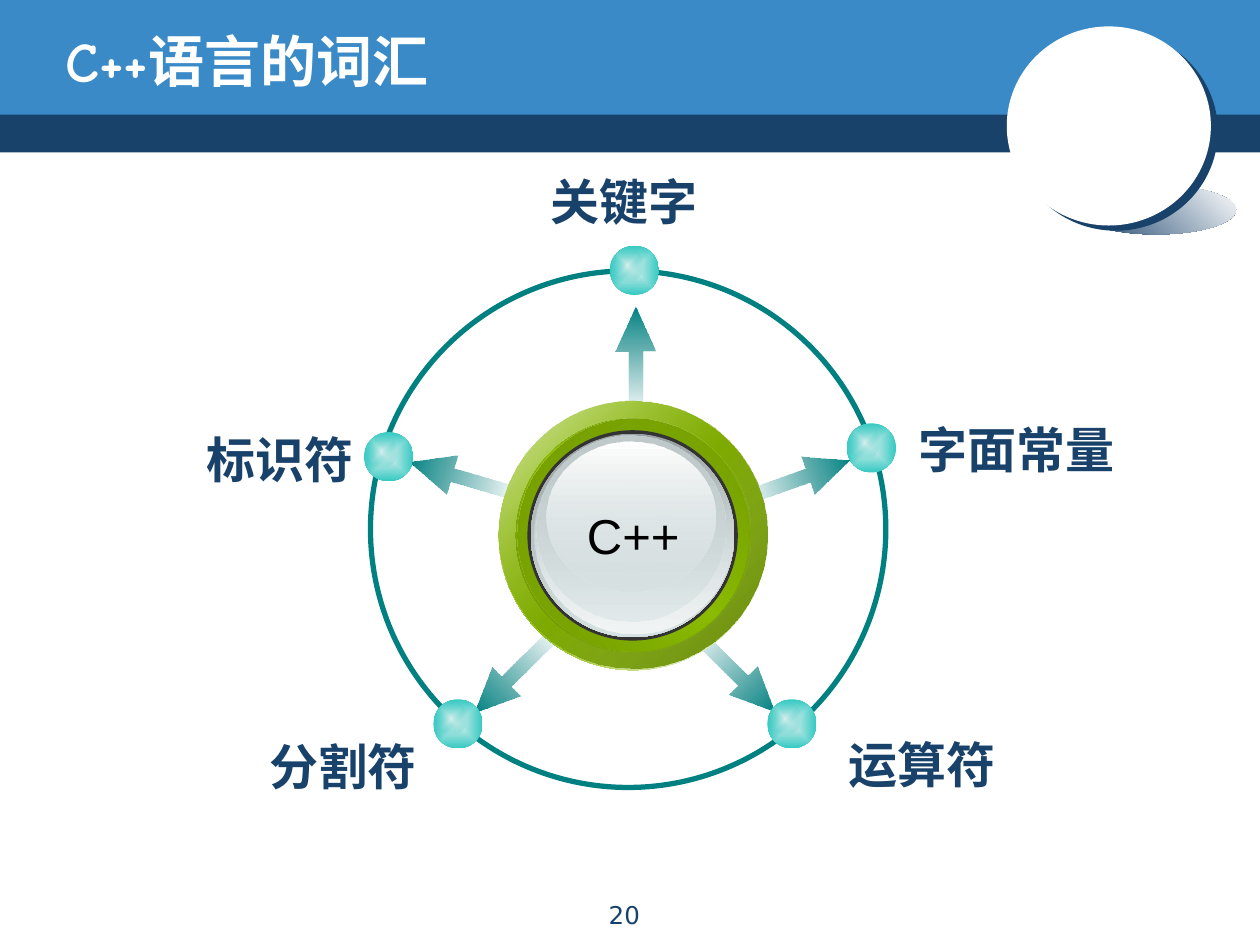
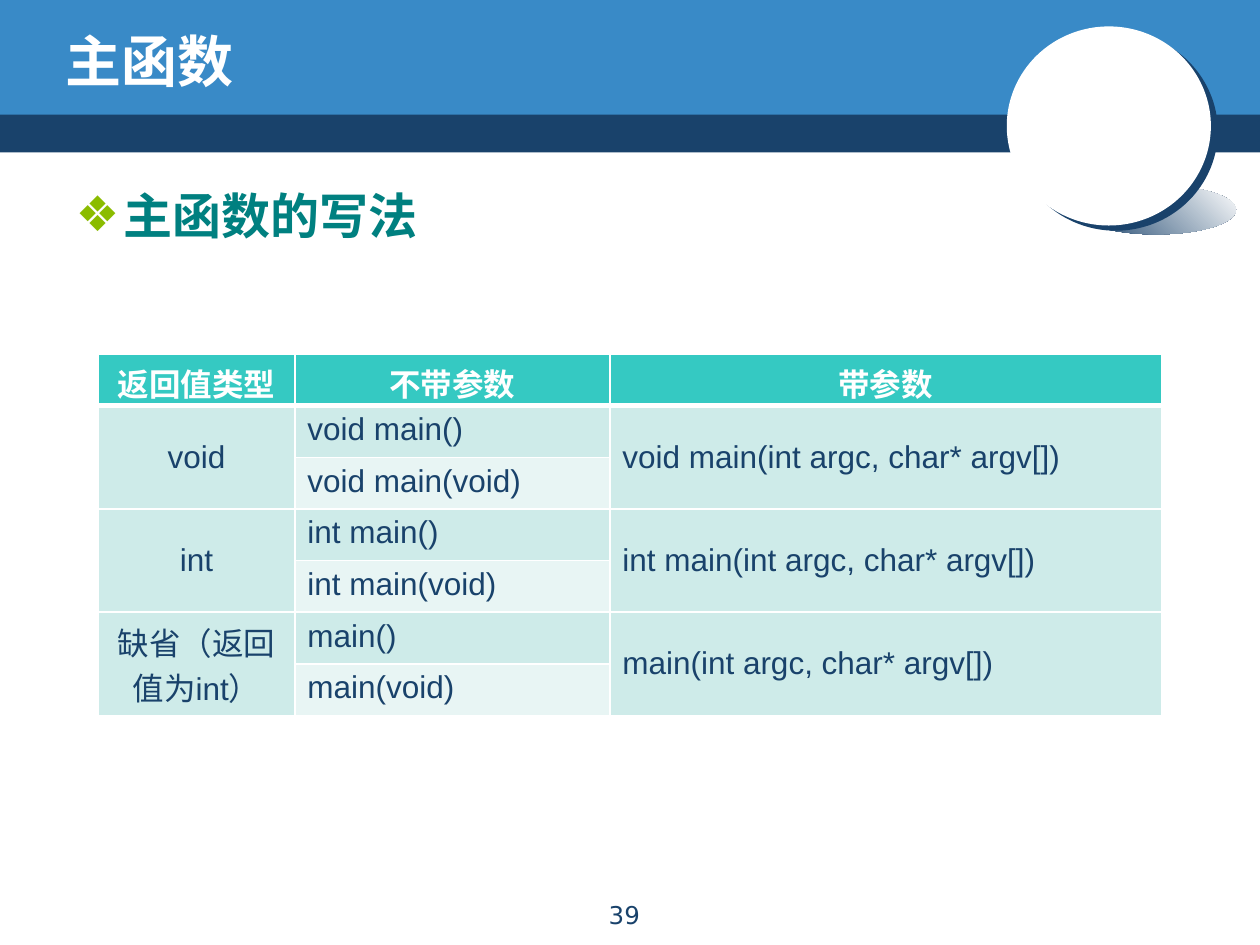
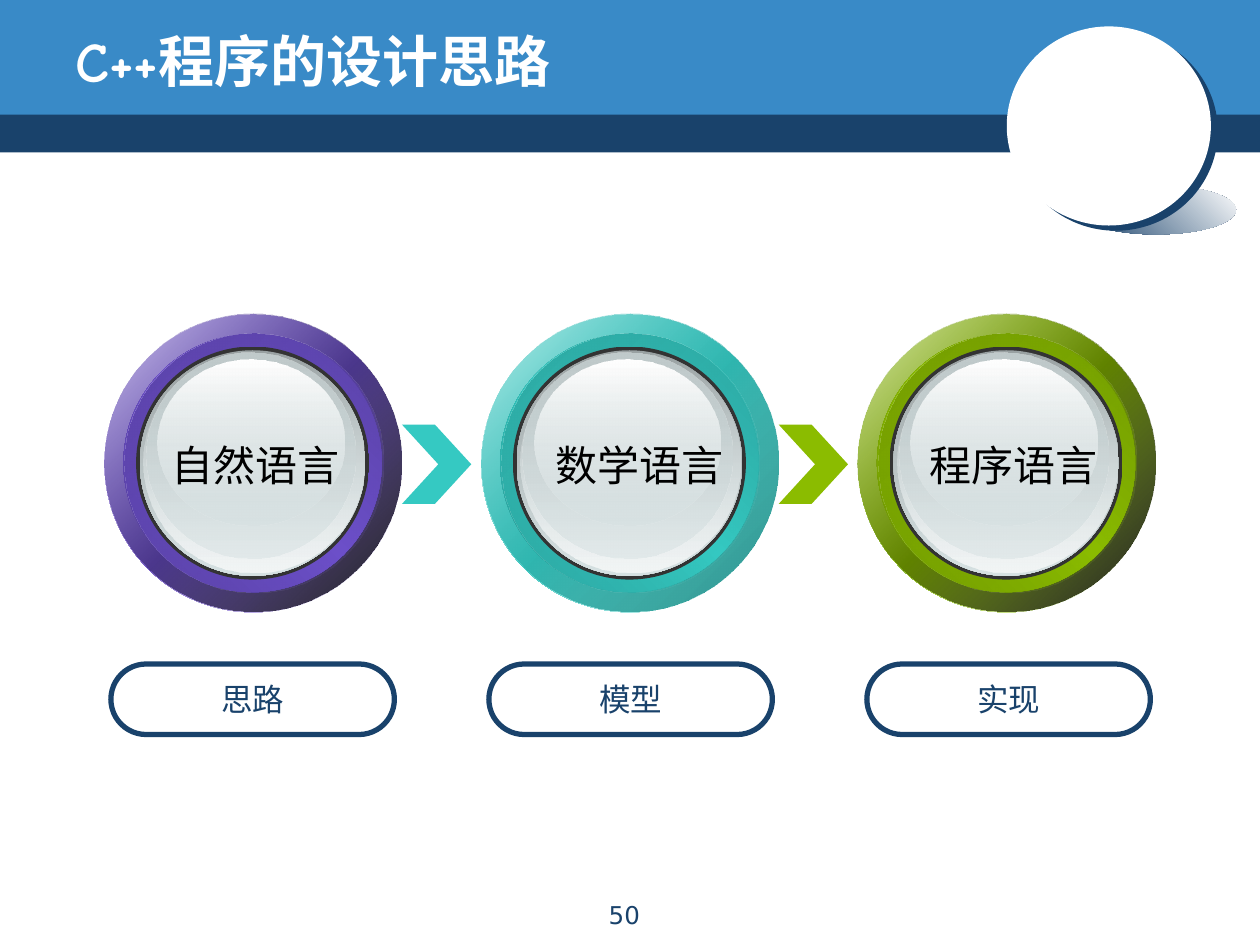
from pptx import Presentation
from pptx.dml.color import RGBColor
from pptx.enum import shapes, text
from pptx.oxml import parse_xml
from pptx.oxml.ns import nsdecls, qn
from pptx.util import Inches, Pt

NAVY = RGBColor(0x19, 0x42, 0x6B)
BLUE = RGBColor(0x39, 0x8A, 0xC7)
WHITE = RGBColor(0xFF, 0xFF, 0xFF)
BLACK = RGBColor(0, 0, 0)
COAL = RGBColor(0x33, 0x33, 0x33)
TEAL = RGBColor(0, 0x80, 0x80)
PINE = RGBColor(0, 0x7A, 0x7A)
AQUA = RGBColor(0x35, 0xC9, 0xC2)
MIST = RGBColor(0xD7, 0xEF, 0xED)
PALE = RGBColor(0xCE, 0xEB, 0xE9)
FAINT = RGBColor(0xE8, 0xF5, 0xF4)
LIME = RGBColor(0x8B, 0xBC, 0x00)
VIOLET = RGBColor(0x6D, 0x50, 0xCA)
STEEL = RGBColor(0x99, 0xA1, 0xA2)
ASH = RGBColor(0xC1, 0xCB, 0xCC)
SILVER = RGBColor(0xD6, 0xE1, 0xE2)
FROST = RGBColor(0xF2, 0xF5, 0xF5)

LIMES = (LIME, RGBColor(0x6A, 0x90, 0), RGBColor(0x72, 0x9A, 0))
AQUAS = (AQUA, RGBColor(0x29, 0x9A, 0x95), RGBColor(0x2C, 0xA5, 0x9F))
VIOLETS = (VIOLET, RGBColor(0x53, 0x3D, 0x9B), RGBColor(0x59, 0x42, 0xA6))
MOSS = (RGBColor(0x63, 0x86, 0), 100)
DEEP = (RGBColor(0x26, 0x90, 0x8B), 100)
SHADE = (BLACK, 90)

KIND = shapes.MSO_SHAPE
LEFT, CENTER, RIGHT = text.PP_ALIGN.LEFT, text.PP_ALIGN.CENTER, text.PP_ALIGN.RIGHT
MIDDLE = text.MSO_ANCHOR.MIDDLE
HAN = "Noto Sans CJK SC"


def xml(tag, attrs="", inner=""):
    return parse_xml(f"<a:{tag} {nsdecls('a')} {attrs}>{inner}</a:{tag}>")


def tint(color, alpha=100):
    return f'<a:srgbClr val="{color}"><a:alpha val="{alpha * 1000}"/></a:srgbClr>'


def blend(shape, stops, angle=None):
    step = 100000 // (len(stops) - 1)
    marks = "".join(f'<a:gs pos="{i * step}">{tint(*stop)}</a:gs>'
                    for i, stop in enumerate(stops))
    if angle is None:
        way = ('<a:path path="shape"><a:fillToRect l="50000" t="50000" '
               'r="50000" b="50000"/></a:path>')
    else:
        way = f'<a:lin ang="{angle * 60000}" scaled="0"/>'
    shape.fill.background()
    props = shape.element.spPr
    props.replace(props.find(qn("a:noFill")),
                  xml("gradFill", 'rotWithShape="1"', f"<a:gsLst>{marks}</a:gsLst>{way}"))


def place(shape, left, top, width, height):
    shape.left, shape.top = Inches(left), Inches(top)
    shape.width, shape.height = Inches(width), Inches(height)


def draw(slide, kind, box, fill=None, line=None):
    shape = slide.shapes.add_shape(kind, *map(Inches, box))
    shape.shadow.inherit = False
    if fill is None:
        shape.fill.background()
    else:
        shape.fill.solid()
        shape.fill.fore_color.rgb = fill
    if line is None:
        shape.line.fill.background()
    else:
        shape.line.color.rgb = line
        shape.line.width = Pt(3)
    return shape


def disc(slide, box, stops, angle=None):
    blend(draw(slide, KIND.OVAL, box), stops, angle)


def write(frame, words, size, font, color, bold=False, align=LEFT):
    frame.text = words
    para = frame.paragraphs[0]
    para.alignment = align
    for run in para.runs:
        run.font.size = Pt(size)
        run.font.name = font
        run.font.bold = bold
        run.font.color.rgb = color
        run.font._element.append(xml("ea", f'typeface="{HAN}"'))


def label(slide, box, words, size, font, color, bold=False, align=CENTER, wrap=False):
    frame = slide.shapes.add_textbox(*map(Inches, box)).text_frame
    frame.word_wrap = wrap
    write(frame, words, size, font, color, bold, align)


def start(deck, layout, words, page, left=0.42, width=8.08):
    slide = deck.slides.add_slide(deck.slide_layouts[layout])
    title = slide.shapes.title
    place(title, left, 0.17, width, 0.62)
    title.text_frame.vertical_anchor = MIDDLE
    write(title.text_frame, words, 32, "Comic Neue", WHITE, True)
    label(slide, (4.05, 7.09, 1.81, 0.32), page, 14, "DejaVu Sans", NAVY, wrap=True)
    return slide


def brand(deck, slide):
    low = draw(slide, KIND.RECTANGLE, (0, 0.87, 10, 0.34), NAVY)
    high = draw(slide, KIND.RECTANGLE, (0, 0, 10, 0.91), BLUE)
    shade = draw(slide, KIND.OVAL, (8.54, 1.47, 1.27, 0.39))
    blend(shade, [(NAVY,), (WHITE,)], 315)
    moon = draw(slide, KIND.OVAL, (7.99, 0.21, 1.62, 1.58), WHITE)
    cast = xml("outerShdw", f'blurRad="0" dist="{Pt(5)}" dir="{37 * 60000}" '
               'algn="ctr" rotWithShape="0"', tint(NAVY))
    moon.element.spPr.find(qn("a:effectLst")).append(cast)
    tree = deck.slide_master.shapes.element
    for i, shape in enumerate((low, high, shade, moon)):
        shape.element.xpath(".//p:cNvPr")[0].set("id", str(20 + i))
        tree.insert(2 + i, shape.element)


def ball(slide, left, top, size, hues, edge):
    unit = size / 2.36
    main, dark, mid = hues

    def layer(dx, dy, width, height, stops, angle):
        disc(slide, (left + dx * unit, top + dy * unit, width * unit, height * unit),
             stops, angle)

    layer(0, 0.01, 2.36, 2.36, [(WHITE,), (main,), (WHITE,)], 45)
    layer(0, 0, 2.36, 2.36, [(main, 32), edge], 45)
    layer(0.15, 0.16, 2.05, 2.05, [(dark,), (main,), (dark,)], 315)
    layer(0.16, 0.16, 2.05, 2.05, [(mid,), (main, 0)], 45)
    layer(0.25, 0.26, 1.85, 1.85, [(COAL,), (COAL,)], 0)
    layer(0.28, 0.29, 1.79, 1.79, [(STEEL,), (SILVER,)], 90)
    layer(0.31, 0.3, 1.75, 1.75, [(SILVER, 0), (FROST,)], 90)
    layer(0.33, 0.31, 1.66, 1.63, [(ASH,), (SILVER, 48)], 90)
    layer(0.42, 0.36, 1.48, 1.32, [(WHITE,), (SILVER, 38)], 90)


def arrow(slide, left, top, turn):
    shape = draw(slide, KIND.RIGHT_ARROW, (left, top, 0.87, 0.32))
    shape.adjustments[0], shape.adjustments[1] = 0.352, 1.11
    shape.rotation = turn
    blend(shape, [(PINE, 0), (TEAL,)], 0)


def dot(slide, left, top):
    disc(slide, (left, top, 0.39, 0.39), [(MIST,), (AQUA,)])
    disc(slide, (left + 0.02, top + 0.03, 0.24, 0.25), [(MIST,), (AQUA, 0)])


def words(deck):
    slide = start(deck, 5, "C++语言的词汇", "20")
    brand(deck, slide)
    spokes = [
        ("标识符", (1.51, 3.36), 1.39, (2.89, 3.43), (3.23, 3.63, 196.2)),
        ("关键字", (4.24, 1.31), 1.39, (4.84, 1.95), (4.61, 2.71, 270)),
        ("字面常量", (7.16, 3.28), 1.78, (6.72, 3.36), (5.9, 3.64, 340.4)),
        ("运算符", (6.61, 5.78), 1.39, (6.09, 5.55), (5.4, 5.18, 45)),
        ("分割符", (2.01, 5.8), 1.39, (3.44, 5.55), (3.64, 5.19, 135.5)),
    ]
    for spoke in spokes:
        arrow(slide, *spoke[4])
    draw(slide, KIND.OVAL, (2.94, 2.15, 4.09, 4.1), line=TEAL)
    for name, spot, width, knob, _ in spokes:
        dot(slide, *knob)
        label(slide, (*spot, width, 0.57), name, 28, HAN, NAVY, True, RIGHT)
    ball(slide, 3.96, 3.18, 2.13, LIMES, MOSS)
    label(slide, (4.55, 3.96, 0.95, 0.57), "C++", 28, "Arial", BLACK)


def bullet(shape, words):
    write(shape.text_frame, words, 28, "Comic Neue", TEAL, True)
    props = shape.text_frame.paragraphs[0]._p.get_or_add_pPr()
    props.set("marL", str(Inches(0.38)))
    props.set("indent", str(Inches(-0.38)))
    props.append(xml("spcBef", "", '<a:spcPct val="20000"/>'))
    props.append(xml("buClr", "", tint(LIME)))
    props.append(xml("buChar", 'char="❖"'))


def fill(cell, words, color, ink=NAVY, bold=False, align=LEFT, base=1):
    props = cell._tc.get_or_add_tcPr()
    for side, width in zip("LRTB", (1, 1, 1, base)):
        props.append(xml(f"ln{side}", f'w="{Pt(width)}"',
                         f"<a:solidFill>{tint(WHITE)}</a:solidFill>"))
    cell.fill.solid()
    cell.fill.fore_color.rgb = color
    write(cell.text_frame, words, 18, "Arial", ink, bold, align)


def grid(slide):
    kinds = [("void", "void "), ("int", "int "), ("缺省（返回值为int）", "")]
    table = slide.shapes.add_table(7, 3, *map(Inches, (0.78, 2.81, 8.44, 2.87))).table
    for column, width in zip(table.columns, (1.56, 2.5, 4.38)):
        column.width = Inches(width)
    for row in table.rows:
        row.height = Inches(0.41)
    for i, head in enumerate(("返回值类型", "不带参数", "带参数")):
        fill(table.cell(0, i), head, AQUA, WHITE, True, CENTER, 3)
    for i, (kind, lead) in enumerate(kinds):
        top = 1 + 2 * i
        fill(table.cell(top, 0), kind, PALE, align=CENTER)
        fill(table.cell(top, 1), f"{lead}main()", PALE)
        fill(table.cell(top + 1, 1), f"{lead}main(void)", FAINT)
        fill(table.cell(top, 2), f"{lead}main(int argc, char* argv[])", PALE)
        for j in (0, 2):
            fill(table.cell(top + 1, j), "", PALE)
            table.cell(top, j).merge(table.cell(top + 1, j))
            table.cell(top, j).vertical_anchor = MIDDLE


def entry(deck):
    slide = start(deck, 1, "主函数", "39")
    body = slide.placeholders[1]
    place(body, 0.5, 1.42, 8.92, 0.54)
    bullet(body, "主函数的写法")
    grid(slide)


def design(deck):
    slide = start(deck, 5, "C++程序的设计思路", "50", 0.5, 9.08)
    stages = [
        ("自然语言", "思路", VIOLETS, SHADE, 1.25),
        ("数学语言", "模型", AQUAS, DEEP, 4.3),
        ("程序语言", "实现", LIMES, SHADE, 7.27),
    ]
    for i, (name, step, hues, edge, spot) in enumerate(stages):
        left = 0.83 + 2.99 * i
        if i:
            link = draw(slide, KIND.CHEVRON, (left - 0.63, 3.37, 0.55, 0.63), hues[0])
            link.adjustments[0] = 0.525
        ball(slide, left, 2.49, 2.36, hues, edge)
        label(slide, (spot, 3.44, 1.55, 0.5), name, 24, "Arial", BLACK)
        pill = draw(slide, KIND.ROUNDED_RECTANGLE, (0.88 + 3 * i, 5.27, 2.25, 0.56), line=NAVY)
        pill.adjustments[0] = 0.5
        pill.text_frame.word_wrap = False
        pill.text_frame.vertical_anchor = MIDDLE
        write(pill.text_frame, step, 18, "DejaVu Sans", NAVY, align=CENTER)


def main():
    deck = Presentation()
    deck.slide_width, deck.slide_height = Inches(10), Inches(7.5)
    words(deck)
    entry(deck)
    design(deck)
    deck.save("out.pptx")


main()
